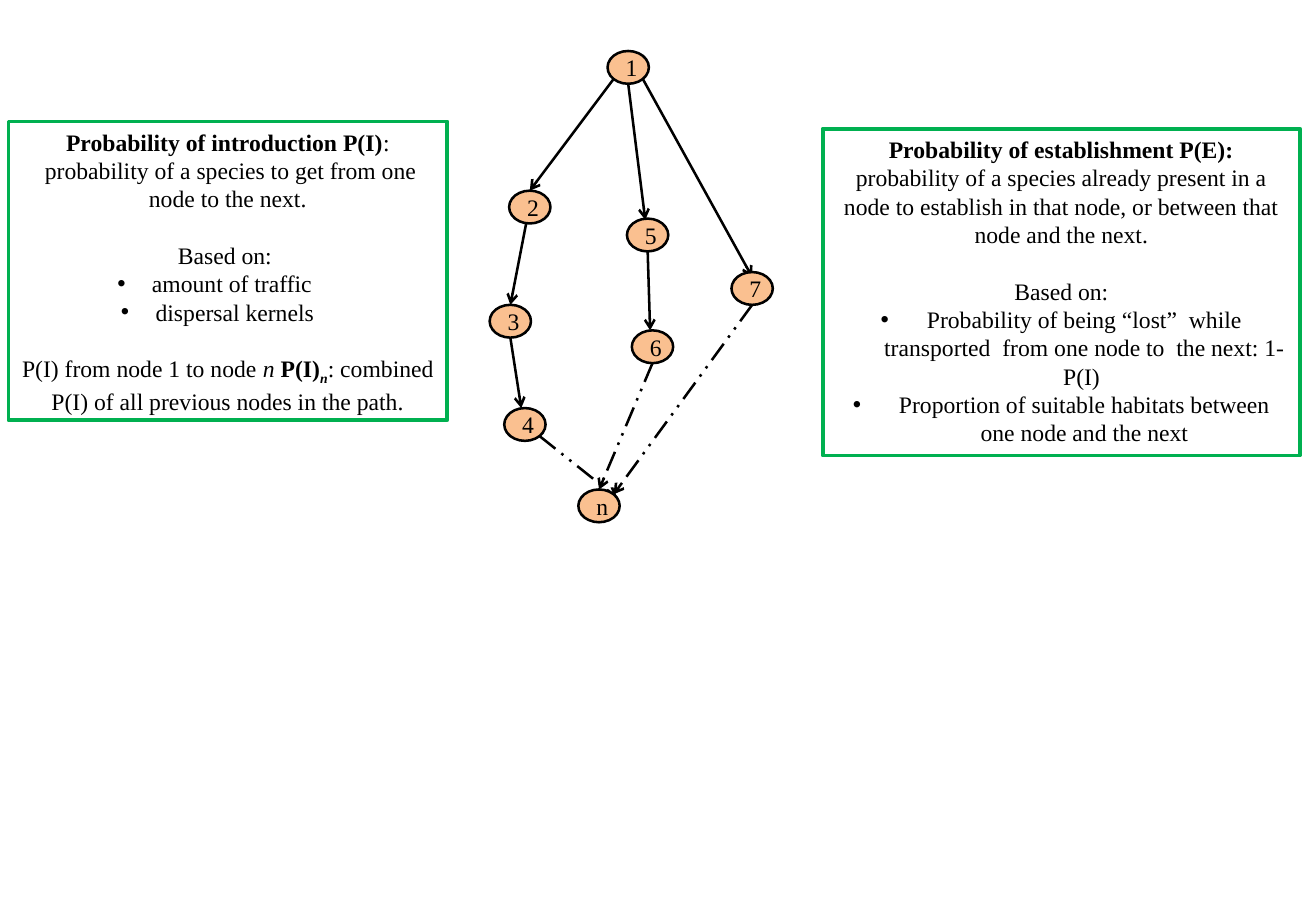
import functools
import math

import lxml.etree
import pptx
import pptx.dml.color
import pptx.enum.dml
import pptx.enum.shapes
import pptx.enum.text
import pptx.oxml.ns
import pptx.util

Inches = pptx.util.Inches
Pt = pptx.util.Pt
RGB = pptx.dml.color.RGBColor.from_string
qn = pptx.oxml.ns.qn
ALIGN = pptx.enum.text.PP_ALIGN
ANCHOR = pptx.enum.text.MSO_ANCHOR

THEME = {
    "ink": RGB("000000"),
    "frame": RGB("00B050"),
    "node": RGB("FAC090"),
    "font": "Times New Roman",
    "size": Pt(14),
    "gap": Pt(16.8),
    "frame_width": Pt(2.25),
    "graph_width": Pt(1.5),
}

BOLD = {"bold": True}
ITALIC = {"italic": True}
SUBSCRIPT = {"bold": True, "italic": True, "baseline": "-25000"}
GAP = {"gap": True}
BULLET = {"bullet": True}
HANGING = {"bullet": True, "hang": Inches(0.38)}

INTRODUCTION = [
    ({}, [("Probability of introduction P(I)", BOLD), (":", {})]),
    ({}, [(" probability of a species to get from one node to the next.", {})]),
    (GAP, [("Based on: ", {})]),
    (BULLET, [(" amount of traffic ", {})]),
    (BULLET, [(" dispersal kernels", {})]),
    (GAP, [
        ("P(I) from node 1 to node ", {}),
        ("n ", ITALIC),
        ("P(I)", BOLD),
        ("n", SUBSCRIPT),
        (": combined P(I) of all previous nodes in the path.", {}),
    ]),
]

ESTABLISHMENT = [
    ({}, [("Probability of establishment P(E):", BOLD)]),
    ({}, [("probability of a species already present in a node to establish in that node, "
           "or between that node and the next.", {})]),
    (GAP, [("Based on:", {})]),
    (HANGING, [("Probability of being “lost”  while transported  from one node to  the next: 1-P(I) ", {})]),
    (HANGING, [("Proportion of suitable habitats between one node and the next", {})]),
]

NODE_SIZE = (0.34, 0.27)
NODES = {
    "2": (0.16, 1.15),
    "5": (1.13, 1.38),
    "7": (1.99, 1.82),
    "3": (0, 2.09),
    "6": (1.17, 2.3),
    "4": (0.12, 2.94),
    "n": (0.73, 3.61),
    "1": (0.97, 0),
}

TOP, UPPER_RIGHT, LOWER_RIGHT, BOTTOM, LOWER_LEFT = -90, -45, 45, 90, 135
KNOWN_ROUTES = [
    (("1", LOWER_LEFT, 0, 0), ("2", TOP, 0, 0)),
    (("1", BOTTOM, 0, 0), ("5", TOP, -0.02, 0.01)),
    (("1", LOWER_RIGHT, 0, 0), ("7", TOP, 0, 0.04)),
    (("2", BOTTOM, -0.03, 0), ("3", TOP, 0, 0)),
    (("5", BOTTOM, 0, 0), ("6", TOP, -0.02, 0)),
    (("3", BOTTOM, 0, 0), ("4", TOP, -0.03, 0)),
]
HIDDEN_END_ROUTES = [(("4", LOWER_RIGHT, 0, 0), ("n", UPPER_RIGHT, 0.03, 0.03))]
FRONT_ROUTES = [
    (("6", BOTTOM, 0, 0), ("n", TOP, 0, 0)),
    (("7", BOTTOM, 0, 0), ("n", UPPER_RIGHT, 0, 0)),
]


def apply(target, values):
    """Set every attribute named in values on the target."""
    for name, value in values.items():
        setattr(target, name, value)


def add_run(paragraph, wording, emphasis):
    """Add one run in the theme's type with the given emphasis."""
    run = paragraph.add_run()
    run.text = wording
    apply(run.font, {
        "name": THEME["font"],
        "size": THEME["size"],
        "bold": emphasis.get("bold", False),
        "italic": emphasis.get("italic", False),
    })
    run.font.color.rgb = THEME["ink"]
    if "baseline" in emphasis:
        run.font._element.set("baseline", emphasis["baseline"])


def add_bullet(paragraph, hang):
    """Give the paragraph a round bullet and a hanging indent."""
    properties = paragraph._p.get_or_add_pPr()
    if hang:
        properties.set("marL", str(hang))
        properties.set("indent", str(-hang))
    lxml.etree.SubElement(properties, qn("a:buFont")).set("typeface", "Arial")
    lxml.etree.SubElement(properties, qn("a:buChar")).set("char", "•")


def add_definition(slide, box, paragraphs):
    """Place a framed definition in the box."""
    definition = slide.shapes.add_textbox(*map(Inches, box))
    apply(definition.line, {"width": THEME["frame_width"]})
    definition.line.color.rgb = THEME["frame"]
    frame = definition.text_frame
    apply(frame, {"word_wrap": True, "auto_size": pptx.enum.text.MSO_AUTO_SIZE.SHAPE_TO_FIT_TEXT})
    for index, (layout, runs) in enumerate(paragraphs):
        paragraph = frame.add_paragraph() if index else frame.paragraphs[0]
        paragraph.alignment = ALIGN.CENTER
        if layout.get("gap"):
            paragraph.space_before = THEME["gap"]
        if layout.get("bullet"):
            add_bullet(paragraph, layout.get("hang"))
        for wording, emphasis in runs:
            add_run(paragraph, wording, emphasis)


def rim_point(origin, label, angle, dx, dy):
    """Return the point at an angle on a node's rim, moved by dx and dy."""
    turn = math.radians(angle)
    shifts = zip(origin, NODES[label], NODE_SIZE, (math.cos(turn), math.sin(turn)), (dx, dy))
    return [Inches(start + place + size * (1 + reach) / 2 + shift)
            for start, place, size, reach, shift in shifts]


def add_route(slide, origin, route, dash=None):
    """Draw an arrow between the rims of two nodes."""
    start, end = (rim_point(origin, *stop) for stop in route)
    arrow = slide.shapes.add_connector(pptx.enum.shapes.MSO_CONNECTOR.STRAIGHT, *start, *end)
    apply(arrow.line, {"width": THEME["graph_width"], "dash_style": dash})
    arrow.line.color.rgb = THEME["ink"]
    properties = arrow._element.spPr
    lxml.etree.SubElement(properties.find(qn("a:ln")), qn("a:tailEnd")).set("type", "arrow")
    lxml.etree.SubElement(properties, qn("a:effectLst"))


def add_node(slide, origin, label):
    """Draw one labelled node."""
    corner = [start + place for start, place in zip(origin, NODES[label])]
    node = slide.shapes.add_shape(
        pptx.enum.shapes.MSO_SHAPE.OVAL, *map(Inches, (*corner, *NODE_SIZE)))
    node.shadow.inherit = False
    node.fill.solid()
    node.fill.fore_color.rgb = THEME["node"]
    node.line.color.rgb = THEME["ink"]
    node.line.width = THEME["graph_width"]
    node.text_frame.vertical_anchor = ANCHOR.MIDDLE
    paragraph = node.text_frame.paragraphs[0]
    paragraph.alignment = ALIGN.CENTER
    add_run(paragraph, label, {})


def add_network(slide, origin):
    """Place the network of nodes and routes from its top left corner."""
    draw = functools.partial(add_route, slide, origin)
    dashed = functools.partial(draw, dash=pptx.enum.dml.MSO_LINE.DASH_DOT_DOT)
    for route in KNOWN_ROUTES:
        draw(route)
    for route in HIDDEN_END_ROUTES:
        dashed(route)
    for label in NODES:
        add_node(slide, origin, label)
    for route in FRONT_ROUTES:
        dashed(route)


def main():
    """Build the slide and save it."""
    deck = pptx.Presentation()
    apply(deck, {"slide_width": Inches(10.83), "slide_height": Inches(7.5)})
    slide = deck.slides.add_slide(deck.slide_layouts[6])
    add_definition(slide, (0.07, 1, 3.61, 2.46), INTRODUCTION)
    add_definition(slide, (6.77, 1.06, 3.93, 2.69), ESTABLISHMENT)
    add_network(slide, (4.03, 0.42))
    deck.save("out.pptx")


if __name__ == "__main__":
    main()
